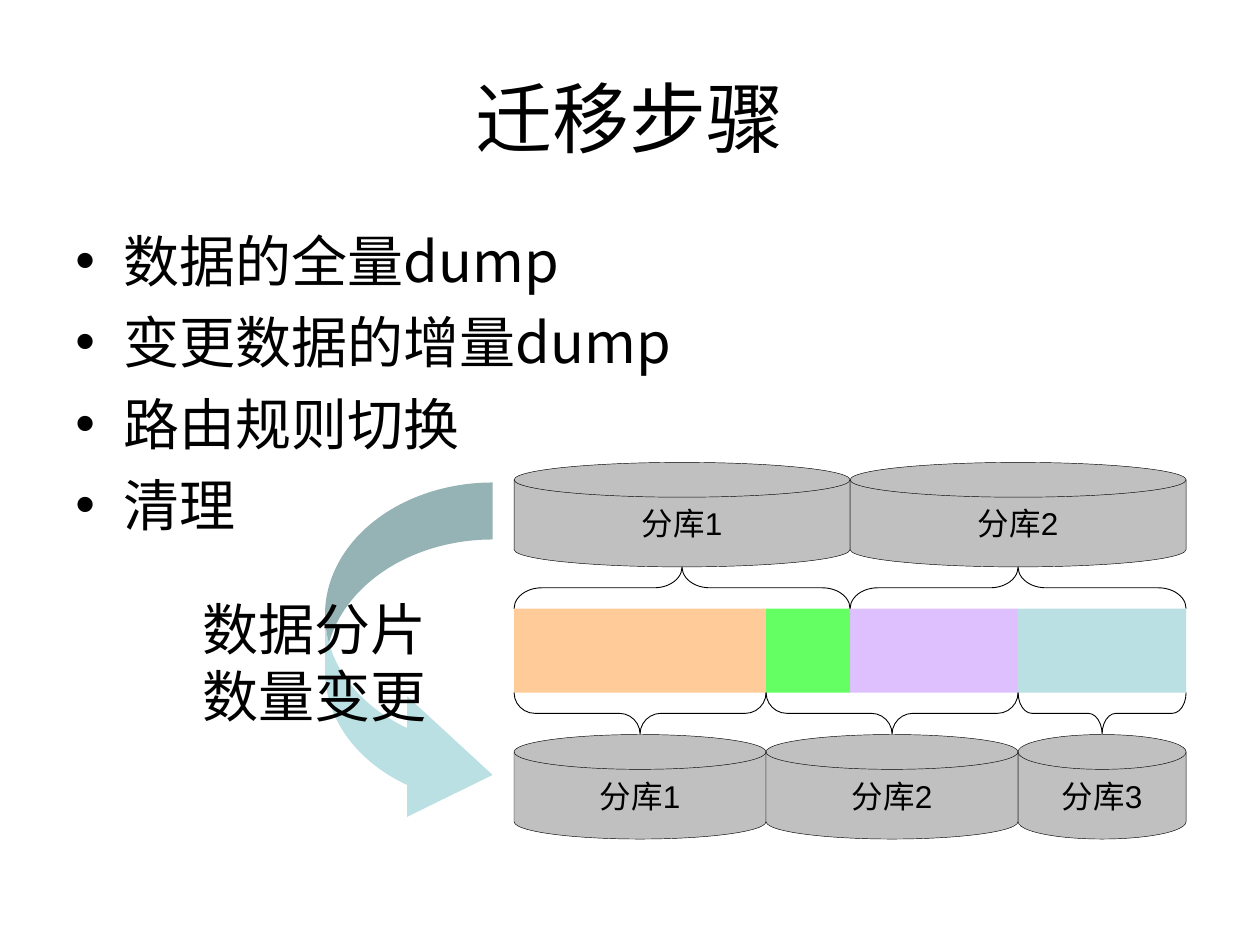
from pptx import Presentation
from pptx.dml.color import RGBColor
from pptx.enum.shapes import MSO_SHAPE
from pptx.enum.text import MSO_ANCHOR, PP_ALIGN
from pptx.oxml.ns import qn
from pptx.util import Inches, Pt
from lxml import etree

BLACK = RGBColor(0x00, 0x00, 0x00)
GRAY = RGBColor(0xC0, 0xC0, 0xC0)
ORANGE = RGBColor(0xFF, 0xCC, 0x99)
GREEN = RGBColor(0x00, 0xFF, 0x00)
PURPLE = RGBColor(0xCC, 0x99, 0xFF)
TEAL = RGBColor(0xBB, 0xE0, 0xE3)
LATIN_FONT = "Arial"
CHINESE_FONT = "Noto Sans CJK SC"
DISK = MSO_SHAPE.FLOWCHART_MAGNETIC_DISK
RECTANGLE = MSO_SHAPE.RECTANGLE
BRACE = MSO_SHAPE.RIGHT_BRACE
CURVED_ARROW = MSO_SHAPE.CURVED_RIGHT_ARROW
CENTER, LEFT = PP_ALIGN.CENTER, PP_ALIGN.LEFT
TOP, MIDDLE = MSO_ANCHOR.TOP, MSO_ANCHOR.MIDDLE

deck = Presentation()
deck.slide_width, deck.slide_height = Inches(10), Inches(7.5)
page = deck.slides.add_slide(deck.slide_layouts[6])


def write_text(box, text, size, font=LATIN_FONT, align=CENTER, anchor=TOP,
               before=0, bullet=None, wrap=True):
    """Fill a box with one paragraph per line; a vertical tab breaks a line."""
    frame = box.text_frame
    frame.word_wrap = wrap
    frame.vertical_anchor = anchor
    frame.text = text
    for para in frame.paragraphs:
        para.alignment = align
        para.space_before = Pt(before)
        if bullet:
            properties = para._p.get_or_add_pPr()
            properties.set("marL", str(Inches(0.38)))
            properties.set("indent", str(-Inches(0.38)))
            etree.SubElement(properties, qn("a:buFont")).set("typeface", LATIN_FONT)
            etree.SubElement(properties, qn("a:buChar")).set("char", bullet)
        for span in para.runs:
            span.font.size = Pt(size)
            span.font.name = font
            span.font.color.rgb = BLACK
            east_asian = etree.SubElement(span._r.get_or_add_rPr(), qn("a:ea"))
            east_asian.set("typeface", CHINESE_FONT)


def add_part(kind, left, top, width, height, fill=None, line=None, opacity=None):
    part = page.shapes.add_shape(kind, Inches(left), Inches(top),
                                 Inches(width), Inches(height))
    part.shadow.inherit = False
    if fill is None:
        part.fill.background()
    else:
        part.fill.solid()
        part.fill.fore_color.rgb = fill
    if opacity:
        color = part.fill._xPr.find(".//" + qn("a:srgbClr"))
        etree.SubElement(color, qn("a:alpha")).set("val", str(opacity * 1000))
    if line is None:
        part.line.fill.background()
    else:
        part.line.color.rgb = BLACK
        part.line.width = Pt(line)
    return part


title = page.shapes.add_textbox(Inches(0.5), Inches(0.3), Inches(9), Inches(1.25))
write_text(title, "迁移步骤", 44, anchor=MIDDLE)

steps = page.shapes.add_textbox(Inches(0.5), Inches(1.75), Inches(9), Inches(4.95))
write_text(steps, "数据的全量dump\n变更数据的增量dump\n路由规则切换\n清理", 32,
           font=CHINESE_FONT, align=LEFT, before=8, bullet="•")

# All widths are counted in data units along one shared axis.
UNIT = 2 / 3
AXIS_LEFT = 4.08
BAND_TOP = 4.83
BRACE_DEPTH = 0.33
DISK_HEIGHT = 0.83

left = AXIS_LEFT
for units, color, opacity in [(3, ORANGE, None), (1, GREEN, 61),
                              (2, PURPLE, 61), (2, TEAL, None)]:
    add_part(RECTANGLE, left, BAND_TOP, units * UNIT, UNIT, color, opacity=opacity)
    left += units * UNIT

# Databases before the migration sit above the band, those after it below.
for disk_top, brace_top, rotation, shares in [
        (3.67, BAND_TOP - BRACE_DEPTH, 270, (4, 4)),
        (5.83, BAND_TOP + UNIT, 90, (3, 3, 2))]:
    left = AXIS_LEFT
    for number, units in enumerate(shares, start=1):
        width = units * UNIT
        disk = add_part(DISK, left, disk_top, width, DISK_HEIGHT, GRAY, 0.25)
        write_text(disk, f"分库{number}", 18, anchor=MIDDLE, wrap=False)
        # The brace is drawn upright, then turned about its centre.
        brace = add_part(BRACE, left + (width - BRACE_DEPTH) / 2,
                         brace_top + (BRACE_DEPTH - width) / 2,
                         BRACE_DEPTH, width, line=0.5)
        brace.rotation = rotation
        brace.adjustments[0] = width / 4
        left += width

arrow = add_part(CURVED_ARROW, 2.58, 3.83, 1.33, 2.8, TEAL)
for index, ratio in enumerate((0.34, 0.72, 0.51)):
    arrow.adjustments[index] = ratio

caption = page.shapes.add_textbox(Inches(1), Inches(4.67), Inches(3), Inches(1.17))
write_text(caption, "数据分片\v数量变更", 32, before=20)

deck.save("out.pptx")
